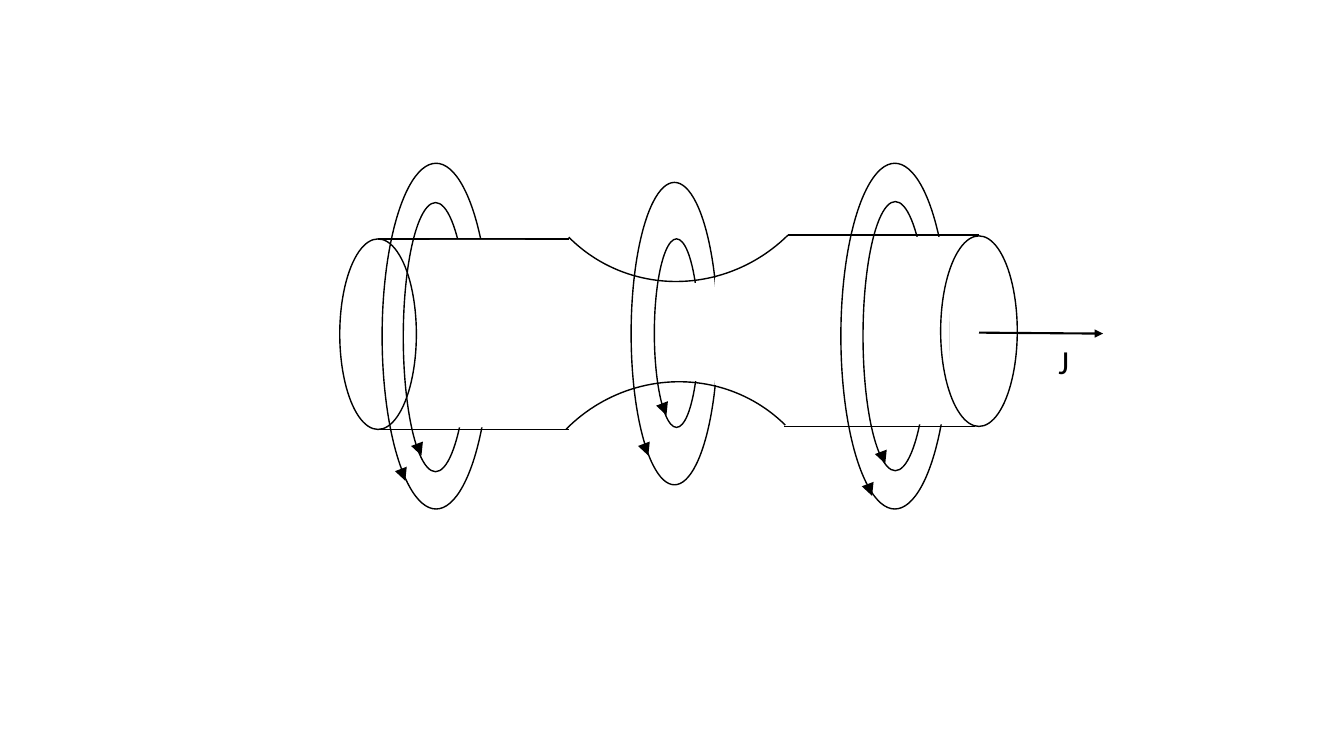
import pptx
import pptx.dml.color
import pptx.enum.shapes
import pptx.enum.text
import pptx.oxml
import pptx.oxml.ns
import pptx.util

Inches = pptx.util.Inches
Shape = pptx.enum.shapes.MSO_SHAPE
THEME = {
    "ink": pptx.dml.color.RGBColor(0, 0, 0),
    "paper": pptx.dml.color.RGBColor(255, 255, 255),
    "font": "Calibri",
    "label": pptx.util.Pt(24),
    "outline": 1,
    "current": 1.5,
    "field": 3,
}

presentation = pptx.Presentation()
presentation.slide_width = Inches(13.33)
presentation.slide_height = Inches(7.5)
slide = presentation.slides.add_slide(presentation.slide_layouts[6])


def add_figure(kind, left, top, width, height, filled=False, rotation=0):
    """Add an outlined open figure, or a borderless mask in the paper colour."""
    shape = slide.shapes.add_shape(
        kind, Inches(left), Inches(top), Inches(width), Inches(height))
    shape.shadow.inherit = False
    shape.rotation = rotation
    if filled:
        shape.fill.solid()
        shape.fill.fore_color.rgb = THEME["paper"]
        shape.line.fill.background()
    else:
        shape.fill.background()
        shape.line.color.rgb = THEME["ink"]
        shape.line.width = pptx.util.Pt(THEME["outline"])


def add_line(x1, y1, x2, y2, weight, arrow=False):
    """Add a straight line, with an arrowhead at its end if wanted."""
    line = slide.shapes.add_connector(
        pptx.enum.shapes.MSO_CONNECTOR.STRAIGHT,
        Inches(x1), Inches(y1), Inches(x2), Inches(y2))
    line.line.color.rgb = THEME["ink"]
    line.line.width = pptx.util.Pt(weight)
    if arrow:
        head = pptx.oxml.parse_xml(
            f'<a:tailEnd {pptx.oxml.ns.nsdecls("a")} type="triangle"/>')
        line.line._get_or_add_ln().append(head)
    properties = line._element.spPr
    properties.append(pptx.oxml.parse_xml(
        f'<a:effectLst {pptx.oxml.ns.nsdecls("a")}/>'))


# Neck of the conductor
add_figure(Shape.ARC, 5.19, -0.26, 3.12, 3.03, rotation=135.3)
add_figure(Shape.ARC, 5.13, 3.81, 3.12, 3.03, rotation=314.8)

# Left end and straight edges
END_WIDTH, END_HEIGHT, EDGE_LENGTH = 0.76, 1.89, 1.89
add_figure(Shape.OVAL, 3.37, 2.37, END_WIDTH, END_HEIGHT)
for left, top in [(3.75, 2.37), (3.75, 4.26), (7.82, 2.33), (7.78, 4.23)]:
    add_line(left, top, left + EDGE_LENGTH, top, THEME["outline"])

# Field loops, each set followed by the masks that hide its far side
loop_sets = [
    ([(4, 2.01, 0.64, 2.67), (3.79, 1.62, 1.07, 3.43)],
     [(4.26, 2.38, 0.95, 1.86)]),
    ([(8.56, 2, 0.64, 2.67), (8.34, 1.62, 1.07, 3.43)],
     [(8.86, 2.35, 0.56, 1.86)]),
    ([(6.49, 2.37, 0.44, 1.87), (6.26, 1.81, 0.86, 3)],
     [(6.83, 2.81, 0.21, 0.97), (7.09, 2.76, 0.21, 1.06)]),
]
for loops, masks in loop_sets:
    for loop in loops:
        add_figure(Shape.OVAL, *loop)
    for mask in masks:
        add_figure(Shape.RECTANGLE, *mask, filled=True)

# Right end
add_figure(Shape.OVAL, 9.33, 2.34, END_WIDTH, END_HEIGHT)

# Direction of the field on each loop
for x, y in [(3.99, 4.69), (4.15, 4.44), (6.4, 4.44),
             (6.58, 4.04), (8.62, 4.84), (8.75, 4.52)]:
    add_line(x, y, x + 0.03, y + 0.08, THEME["field"], arrow=True)

# Current and its label
add_line(9.71, 3.3, 10.94, 3.31, THEME["current"], arrow=True)
label = slide.shapes.add_textbox(
    Inches(10.4), Inches(3.33), Inches(0.43), Inches(0.5))
label.text_frame.word_wrap = True
label.text_frame.auto_size = pptx.enum.text.MSO_AUTO_SIZE.SHAPE_TO_FIT_TEXT
paragraph = label.text_frame.paragraphs[0]
paragraph.text = "J"
paragraph.font.name = THEME["font"]
paragraph.font.size = THEME["label"]
paragraph.font.color.rgb = THEME["ink"]

presentation.save("out.pptx")
